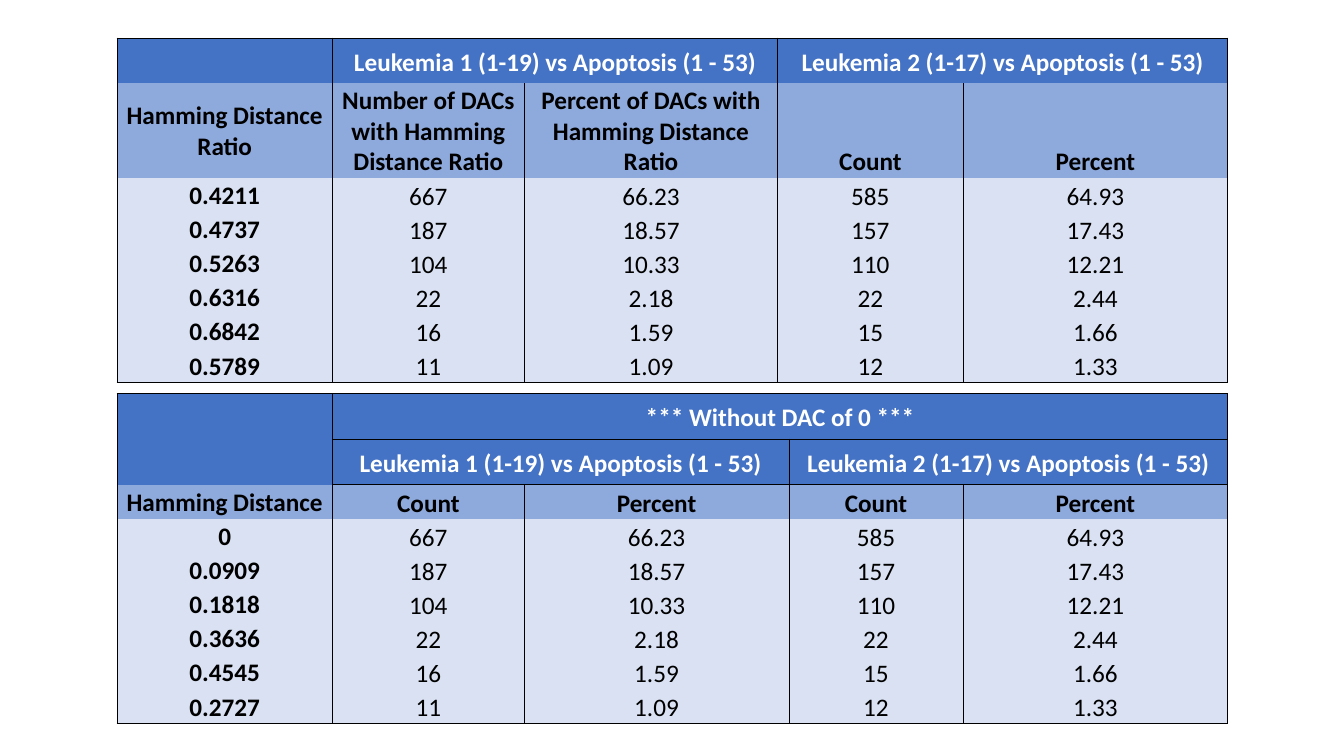
from pptx import Presentation, oxml
from pptx.dml import color
from pptx.enum import text
from pptx.oxml import ns
from pptx.util import Pt

hues = {"head": "4472C4", "sub": "8EA9DB", "body": "D9E1F2",
        "line": "000000", "dark": "000000", "light": "FFFFFF"}
mid, low = text.MSO_ANCHOR.MIDDLE, text.MSO_ANCHOR.BOTTOM
plain = "{2D5ABB26-0587-4C30-8999-92F81FD0307C}"

groups = ["Leukemia 1 (1-19) vs Apoptosis (1 - 53)",
          "Leukemia 2 (1-17) vs Apoptosis (1 - 53)"]
pair = ["Count", "Percent"]
counts = [["667", "66.23", "585", "64.93"],
          ["187", "18.57", "157", "17.43"],
          ["104", "10.33", "110", "12.21"],
          ["22", "2.18", "22", "2.44"],
          ["16", "1.59", "15", "1.66"],
          ["11", "1.09", "12", "1.33"]]
split = ["", groups[0], "", groups[1], ""]
tables = [
    {"top": 27, "cols": [154, 137, 181, 132.5, 189], "pad": (7.2, 3.6),
     "heads": [split], "high": 67,
     "subs": ["Hamming Distance Ratio",
              "Number of DACs with Hamming Distance Ratio",
              "Percent of DACs with Hamming Distance Ratio"] + pair,
     "keys": ["0.4211", "0.4737", "0.5263", "0.6316", "0.6842", "0.5789"]},
    {"top": 281, "cols": [154, 137, 189, 124.5, 189], "pad": (8, 4),
     "heads": [["", "*** Without DAC of 0 ***", "", "", ""], split], "high": 24.4,
     "subs": ["Hamming Distance"] + pair * 2,
     "keys": ["0", "0.0909", "0.1818", "0.3636", "0.4545", "0.2727"]},
]


def set_all(item, form):
    for name, value in form.items():
        setattr(item, name, value)


def add_line(cell, sides):
    props = cell._tc.get_or_add_tcPr()
    for spot, side in enumerate(sides):
        props.insert(spot, oxml.parse_xml(
            f'<a:ln{side} {ns.nsdecls("a")} w="{Pt(0.5)}"><a:solidFill>'
            f'<a:srgbClr val="{hues["line"]}"/></a:solidFill></a:ln{side}>'))


deck = Presentation()
set_all(deck, {"slide_width": Pt(960), "slide_height": Pt(540)})
slide = deck.slides.add_slide(deck.slide_layouts[6])

for plan in tables:
    depth = len(plan["heads"])
    rows = plan["heads"] + [plan["subs"]]
    rows += [[key] + vals for key, vals in zip(plan["keys"], counts)]
    highs = [32.6] * depth + [plan["high"]] + [24.4] * len(counts)
    frame = slide.shapes.add_table(len(rows), 5, Pt(83.5), Pt(plan["top"]),
                                   Pt(sum(plan["cols"])), Pt(sum(highs)))
    grid = frame.table
    set_all(grid, {"first_row": False, "horz_banding": False})
    grid._tbl.tblPr.find(ns.qn("a:tableStyleId")).text = plain
    for col, wide in zip(grid.columns, plan["cols"]):
        col.width = Pt(wide)
    for row, high in zip(grid.rows, highs):
        row.height = Pt(high)
    for r in range(depth):
        starts = [c for c in range(1, 5) if rows[r][c]]
        for start, end in zip(starts, starts[1:] + [5]):
            grid.cell(r, start).merge(grid.cell(r, end - 1))

    for r, row in enumerate(rows):
        kind = "head" if r < depth else "sub" if r == depth else "body"
        for c, words in enumerate(row):
            cell = grid.cell(r, c)
            side, edge = plan["pad"] if kind == "head" else (1.4, 1.4)
            set_all(cell, {
                "margin_left": Pt(side), "margin_right": Pt(side),
                "margin_top": Pt(edge),
                "margin_bottom": Pt(edge if kind == "head" else 0),
                "vertical_anchor": mid if c == 0 and kind != "head" else low})
            cell.fill.solid()
            cell.fill.fore_color.rgb = color.RGBColor.from_string(hues[kind])
            para = cell.text_frame.paragraphs[0]
            para.alignment = text.PP_ALIGN.CENTER
            set_all(para.font, {"size": Pt(18), "name": "Calibri"})
            if words:
                run = para.add_run()
                run.text = words
                set_all(run.font, {"size": Pt(18), "name": "Calibri",
                                   "bold": kind != "body" or c == 0})
                ink = hues["light" if kind == "head" else "dark"]
                run.font.color.rgb = color.RGBColor.from_string(ink)
            if cell.is_spanned and c < 4:
                continue
            last = c + cell.span_width - 1
            rule = {"L": c in (0, 1, 3) and not cell.is_spanned,
                    "R": last in (0, 2, 4),
                    "T": r == 0 or (r < depth and c > 0),
                    "B": r == len(rows) - 1 or (r < depth - 1 and c > 0)}
            add_line(cell, [key for key, on in rule.items() if on])

deck.save("out.pptx")
